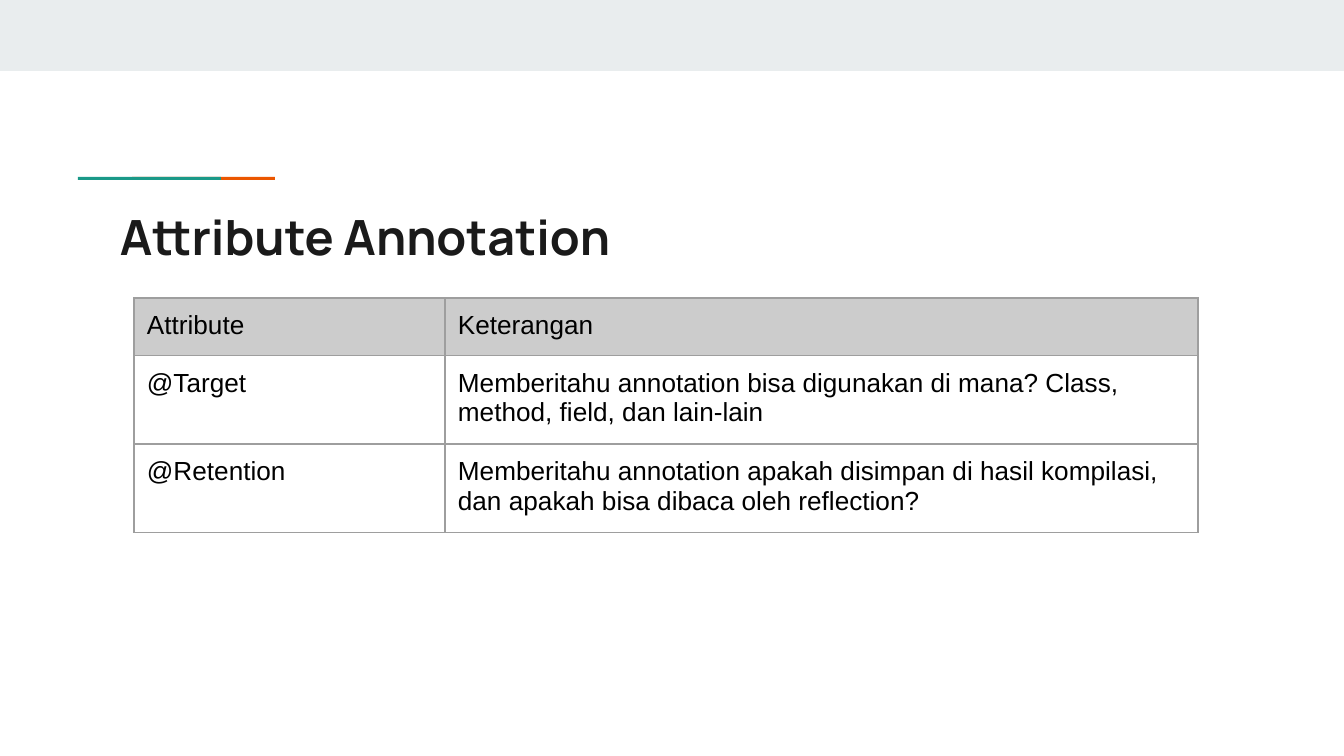
from lxml.etree import SubElement
from pptx import Presentation
from pptx.dml.color import RGBColor
from pptx.enum.shapes import MSO_SHAPE
from pptx.enum.text import MSO_ANCHOR
from pptx.oxml.ns import qn
from pptx.util import Pt

SCALE = 914400 / 134.4
COLORS = {
    "band": "E9EDEE",
    "orange": "EB5600",
    "teal": "1A9988",
    "title": "1A1A1A",
    "text": "000000",
    "header": "CCCCCC",
    "border": "9E9E9E",
}
ROWS = [
    ("Attribute", "Keterangan"),
    ("@Target", "Memberitahu annotation bisa digunakan di mana? Class, method, field, dan lain-lain"),
    ("@Retention", "Memberitahu annotation apakah disimpan di hasil kompilasi, dan apakah bisa dibaca oleh reflection?"),
]


def px(length):
    return round(length * SCALE)


def color(name):
    return RGBColor.from_string(COLORS[name])


class SlideBuilder:
    title_font = "Manrope"
    body_font = "Arial"
    inset = 13

    def __init__(self, page):
        self.page = page

    def bar(self, left, top, width, height, fill):
        shape = self.page.shapes.add_shape(
            MSO_SHAPE.RECTANGLE, px(left), px(top), px(width), px(height))
        shape.shadow.inherit = False
        shape.fill.solid()
        shape.fill.fore_color.rgb = color(fill)
        shape.line.fill.background()

    def fill_text(self, frame, text, font, size, fill, bold=False):
        frame.text = text
        frame.word_wrap = True
        for para in frame.paragraphs:
            for span in para.runs:
                span.font.name = font
                span.font.size = Pt(size)
                span.font.bold = bold
                span.font.color.rgb = color(fill)

    def set_insets(self, target):
        target.margin_left = target.margin_right = px(self.inset)
        target.margin_top = target.margin_bottom = px(self.inset)
        target.vertical_anchor = MSO_ANCHOR.TOP

    def title(self, left, top, width, height, text):
        box = self.page.shapes.add_textbox(px(left), px(top), px(width), px(height))
        self.set_insets(box.text_frame)
        self.fill_text(box.text_frame, text, self.title_font, 26, "title", True)

    def borders(self, cell):
        properties = cell._tc.get_or_add_tcPr()
        for side in ("a:lnL", "a:lnR", "a:lnT", "a:lnB"):
            line = SubElement(properties, qn(side), w=str(Pt(0.75)))
            solid = SubElement(line, qn("a:solidFill"))
            SubElement(solid, qn("a:srgbClr"), val=COLORS["border"])

    def table(self, left, top, widths, row_height, rows):
        table = self.page.shapes.add_table(
            len(rows), len(widths), px(left), px(top),
            px(sum(widths)), px(row_height * len(rows))).table
        table.first_row = False
        table.horz_banding = False
        for column, width in zip(table.columns, widths):
            column.width = px(width)
        for index, texts in enumerate(rows):
            table.rows[index].height = px(row_height)
            for cell, text in zip(table.rows[index].cells, texts):
                self.set_insets(cell)
                self.fill_text(cell.text_frame, text, self.body_font, 14, "text")
                self.borders(cell)
                if index == 0:
                    cell.fill.solid()
                    cell.fill.fore_color.rgb = color("header")
                else:
                    cell.fill.background()


def main():
    deck = Presentation()
    deck.slide_width, deck.slide_height = px(1344), px(756)
    builder = SlideBuilder(deck.slides.add_slide(deck.slide_layouts[6]))
    builder.bar(0, 0, 1344, 71, "band")
    builder.bar(132, 177, 143, 3, "orange")
    builder.bar(78, 177, 143, 3, "teal")
    builder.title(107, 194, 1130, 79, "Attribute Annotation")
    builder.table(134, 298, (311, 753), 56, ROWS)
    deck.save("out.pptx")


if __name__ == "__main__":
    main()
